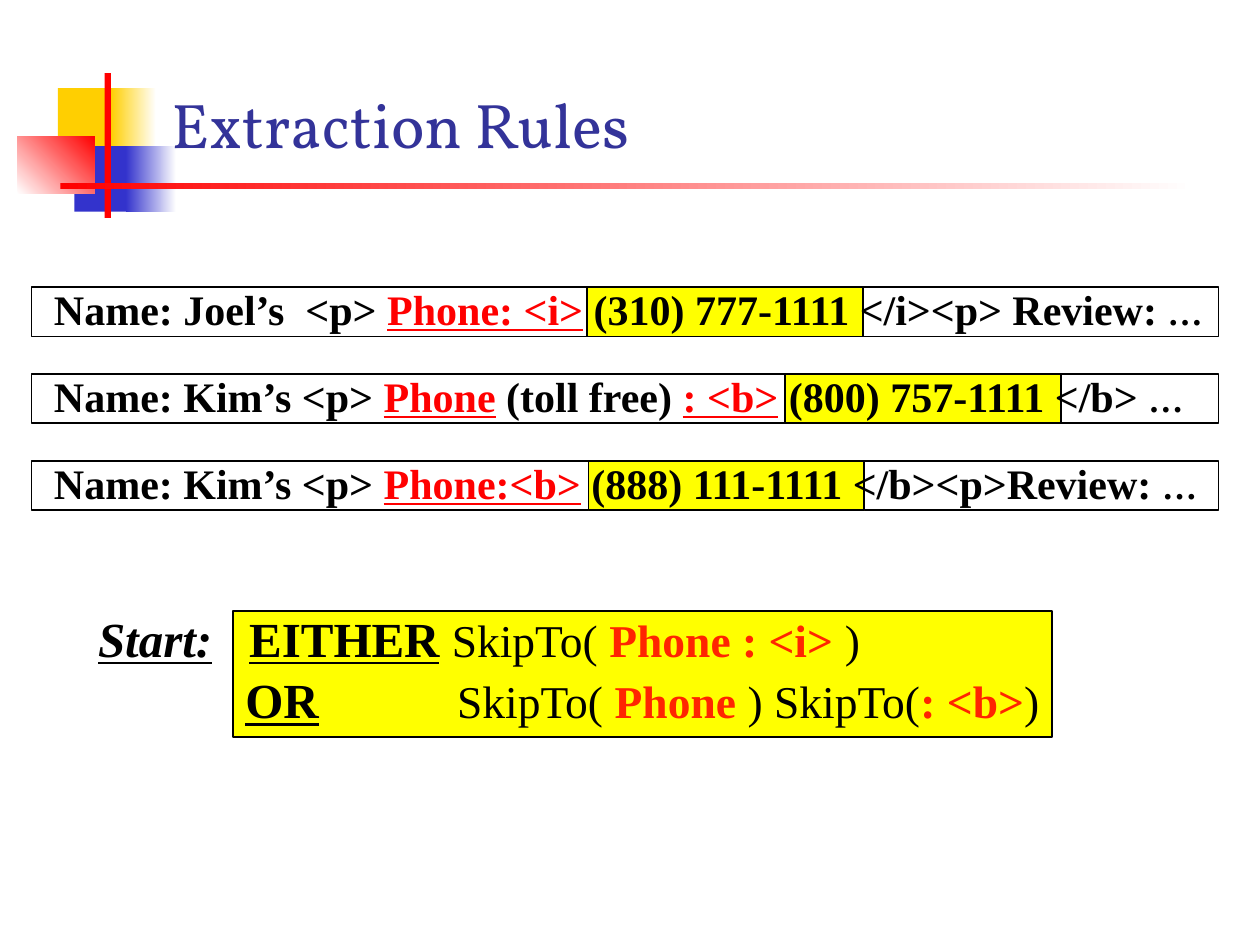
from pptx import Presentation
from pptx.dml.color import RGBColor
from pptx.enum.shapes import MSO_SHAPE
from pptx.enum.text import MSO_ANCHOR, MSO_AUTO_SIZE, PP_ALIGN
from pptx.oxml.ns import qn
from pptx.util import Inches, Pt
from lxml.etree import SubElement

COLORS = {
    "black": "000000", "white": "FFFFFF", "gold": "FFCF01", "blue": "3333CC",
    "red": "FF0000", "orange": "FF2501", "yellow": "FFFF00", "title": "333399",
}


def add_box(box, fill, fade=None, angle=0, outline=False):
    sp = s.shapes.add_shape(MSO_SHAPE.RECTANGLE, *[Inches(v) for v in box])
    sp.shadow.inherit = False
    if fade:
        sp.fill.gradient()
        sp.fill.gradient_angle = angle
        for stop, name in zip(sp.fill.gradient_stops, (fill, fade)):
            stop.color.rgb = RGBColor.from_string(COLORS[name])
    else:
        sp.fill.solid()
        sp.fill.fore_color.rgb = RGBColor.from_string(COLORS[fill])
    if outline:
        sp.line.color.rgb = RGBColor.from_string(COLORS["black"])
        sp.line.width = Pt(1)
    else:
        sp.line.fill.background()


def add_run(p, text, size, color="black", style="", font="Times New Roman"):
    r = p.add_run()
    r.text = text
    r.font.name = font
    r.font.size = Pt(size)
    r.font.color.rgb = RGBColor.from_string(COLORS[color])
    r.font.bold = "b" in style
    r.font.italic = "i" in style
    r.font.underline = "u" in style


prs = Presentation()
prs.slide_width, prs.slide_height = Inches(10), Inches(7.5)
s = prs.slides.add_slide(prs.slide_layouts[5])

add_box((0.46, 0.7, 0.48, 0.52), "gold")
add_box((0.88, 0.7, 0.36, 0.52), "gold", "white")
add_box((0.59, 1.16, 0.46, 0.52), "blue")
add_box((1, 1.16, 0.4, 0.52), "blue", "white")
add_box((0.14, 1.08, 0.61, 0.46), "white", "red", 45)
add_box((0.83, 0.58, 0.05, 1.15), "red")
add_box((0.48, 1.45, 9, 0.05), "red", "white")

title = s.shapes.title
s.shapes._spTree.append(title._element)
title.left, title.top = Inches(1.26), Inches(0.5)
title.width, title.height = Inches(8.52), Inches(0.83)
tf = title.text_frame
tf.auto_size = MSO_AUTO_SIZE.NONE
tf.vertical_anchor = MSO_ANCHOR.BOTTOM
p = tf.paragraphs[0]
p.alignment = PP_ALIGN.LEFT
add_run(p, "Extraction Rules", 36, "title", font="Vollkorn")

records = [
    (4.66, [("Name: Joel’s  <p> ", 0), ("Phone: <i>", 1),
            (" (310) 777-1111 </i><p> Review: ", 0)]),
    (6.23, [("Name: Kim’s <p> ", 0), ("Phone", 1), (" (toll free) ", 0),
            (": <b>", 1), (" (800) 757-1111 </b> ", 0)]),
    (4.67, [("Name: Kim’s <p> ", 0), ("Phone:<b>", 1),
            (" (888) 111-1111 </b><p>Review: ", 0)]),
]
for i, (number_left, parts) in enumerate(records):
    top = 2.28 + 0.69 * i
    add_box((0.25, top, 9.42, 0.39), "white", outline=True)
    add_box((number_left, top, 2.19, 0.39), "yellow", outline=True)
    tb = s.shapes.add_textbox(Inches(0.33), Inches(top - 0.08), Inches(9.67), Inches(0.75))
    tf = tb.text_frame
    tf.word_wrap = True
    p = tf.paragraphs[0]
    p.space_before = Pt(2)
    for text, landmark in parts:
        add_run(p, text, 24, "red" if landmark else "black", "bu" if landmark else "b")
    add_run(p, "…", 20, style="b")

add_box((1.85, 4.85, 6.5, 1), "yellow", outline=True)
rule_lines = [
    ([1.2], [("Start:", 28, "black", "biu"), ("\t", 28, "black", ""),
             ("EITHER", 28, "black", "bu"), (" ", 28, "black", ""),
             ("SkipTo( ", 26, "black", ""), ("Phone : <i> ", 26, "orange", "b"),
             (")", 26, "black", "")]),
    ([1.17, 2.85], [("\t", 28, "black", ""), ("OR", 28, "black", "bu"),
                    ("\tSkipTo(", 26, "black", ""), (" Phone ", 26, "orange", "b"),
                    (") SkipTo(", 26, "black", ""), (": <b>", 26, "orange", "b"),
                    (")", 26, "black", "")]),
]
tb = s.shapes.add_textbox(Inches(0.68), Inches(4.78), Inches(7.83), Inches(1.03))
tf = tb.text_frame
tf.word_wrap = True
for i, (stops, runs) in enumerate(rule_lines):
    p = tf.add_paragraph() if i else tf.paragraphs[0]
    p.space_before = Pt(1.5)
    tabs = SubElement(p._p.get_or_add_pPr(), qn("a:tabLst"))
    for stop in stops:
        SubElement(tabs, qn("a:tab"), pos=str(Inches(stop)), algn="l")
    for run in runs:
        add_run(p, *run)

prs.save("out.pptx")
